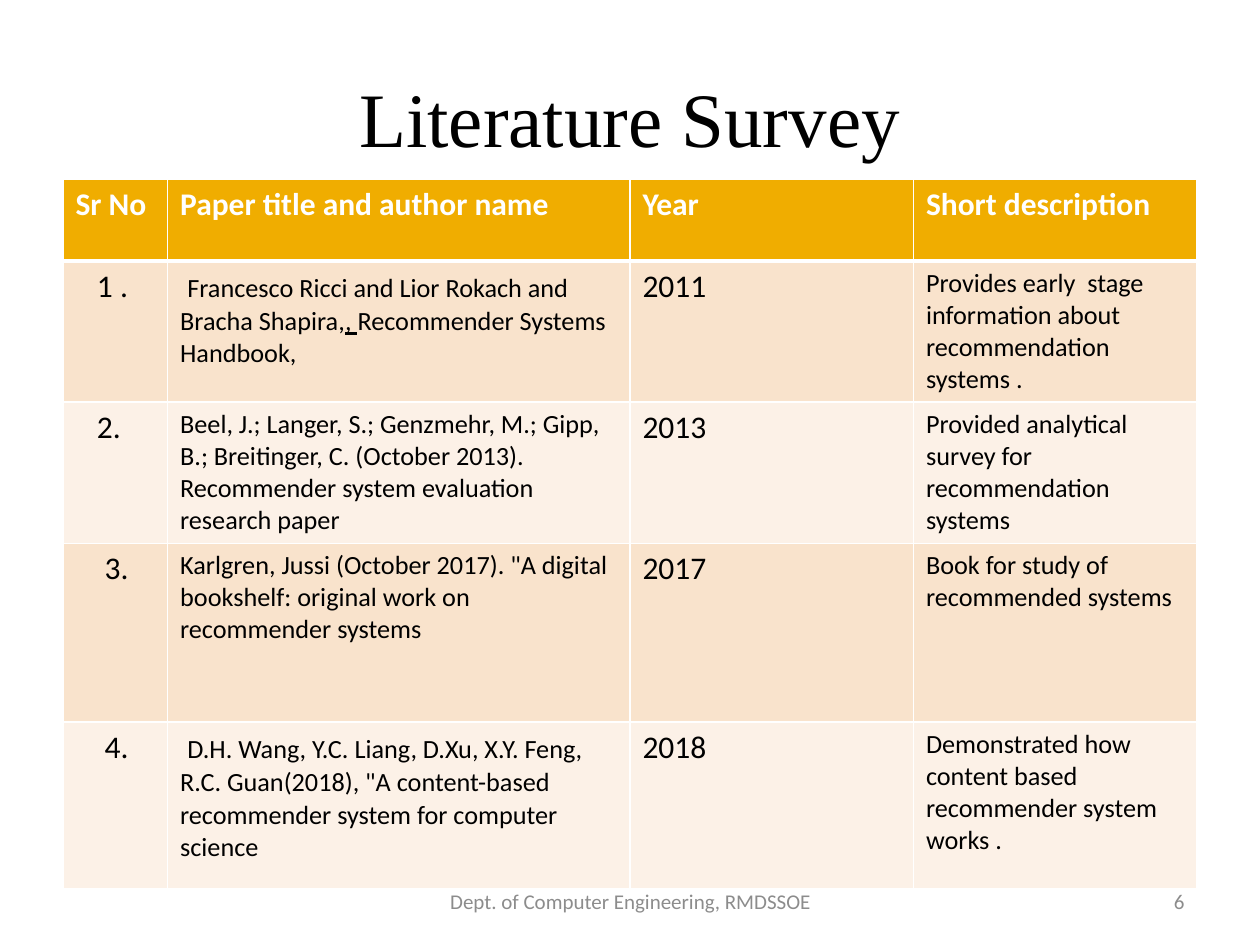
"""Build the literature survey slide with its table of papers."""
from dataclasses import dataclass

from lxml.etree import SubElement
from pptx import Presentation
from pptx.dml.color import RGBColor
from pptx.enum.text import MSO_ANCHOR as Anchor, PP_ALIGN as Align
from pptx.oxml.ns import qn
from pptx.util import Inches, Pt

BLACK, WHITE, GREY = "000000", "FFFFFF", "8C8C8C"
HEADER_FILL, BAND_FILLS = "F0AD00", ("F9E3CC", "FCF1E7")
HEADINGS = ("Sr No", "Paper title and author name", "Year", "Short description")
COLUMN_WIDTHS = (0.83, 3.67, 2.25, 2.25)
HEADER_HEIGHT = 0.65


@dataclass
class Span:
    text: str
    size: float = 15
    underline: bool = False


@dataclass
class Paper:
    number: str
    number_margin: float
    citation: list[Span]
    year: str
    description: str
    height: float


PAPERS = (
    Paper("1 .", 0.27,
          [Span(" ", 18), Span("Francesco Ricci and Lior Rokach and Bracha Shapira,"),
           Span(", ", underline=True), Span("Recommender Systems Handbook,")],
          "2011", "Provides early  stage information about recommendation systems .", 1.12),
    Paper("2.", 0.27,
          [Span("Beel, J.; Langer, S.; Genzmehr, M.; Gipp, B.; Breitinger, C. "
                "(October 2013). Recommender system evaluation research paper")],
          "2013", "Provided analytical survey for recommendation systems", 1.12),
    Paper("3.", 0.33,
          [Span("Karlgren, Jussi (October 2017). \"A digital bookshelf: "
                "original work on recommender systems")],
          "2017", "Book for study of recommended systems", 1.42),
    Paper("4.", 0.33,
          [Span(" ", 18), Span("D.H. Wang, Y.C. Liang, D.Xu, X.Y. Feng, R.C. Guan(2018), "
                               "\"A content-based recommender system for computer science")],
          "2018", "Demonstrated how content based recommender system works .", 1.32),
)


def rgb(color: str) -> RGBColor:
    """Turn a hex string into a colour."""
    return RGBColor.from_string(color)


def style(span, size: float, color: str, name: str = "Calibri", bold: bool = False) -> None:
    """Format one run of text."""
    span.font.size = Pt(size)
    span.font.name = name
    span.font.bold = bold
    span.font.color.rgb = rgb(color)


def add_borders(cell, bottom: float) -> None:
    """Give a cell white borders, with its own bottom width in points."""
    properties = cell._tc.get_or_add_tcPr()
    for tag, width in (("a:lnL", 1), ("a:lnR", 1), ("a:lnT", 1), ("a:lnB", bottom)):
        line = SubElement(properties, qn(tag), w=str(Pt(width)))
        SubElement(SubElement(line, qn("a:solidFill")), qn("a:srgbClr"), val=WHITE)


def fill_cell(cell, spans: list[Span], fill: str, header: bool = False) -> None:
    """Write spans into a cell and set its borders and fill."""
    add_borders(cell, 3 if header else 1)
    cell.fill.solid()
    cell.fill.fore_color.rgb = rgb(fill)
    para = cell.text_frame.paragraphs[0]
    for span in spans:
        run = para.add_run()
        run.text = span.text
        style(run, span.size, WHITE if header else BLACK, bold=header)
        if span.underline:
            run.font.underline = True


def add_table(page) -> None:
    """Draw the table of surveyed papers."""
    heights = (HEADER_HEIGHT, *(paper.height for paper in PAPERS))
    table = page.shapes.add_table(
        len(heights), len(HEADINGS), Inches(0.5), Inches(1.42),
        Inches(sum(COLUMN_WIDTHS)), Inches(sum(heights))).table
    for column, width in zip(table.columns, COLUMN_WIDTHS):
        column.width = Inches(width)
    for row, height in zip(table.rows, heights):
        row.height = Inches(height)
    for index, heading in enumerate(HEADINGS):
        fill_cell(table.cell(0, index), [Span(heading, 18)], HEADER_FILL, header=True)
    for row, paper in enumerate(PAPERS, start=1):
        contents = ([Span(paper.number, 18)], paper.citation,
                    [Span(paper.year, 18)], [Span(paper.description)])
        for index, spans in enumerate(contents):
            fill_cell(table.cell(row, index), spans, BAND_FILLS[(row - 1) % 2])
        table.cell(row, 0).margin_left = Inches(paper.number_margin)


def add_footer(page, text: str, left: float, width: float, align: Align) -> None:
    """Place one grey text at the foot of the page."""
    box = page.shapes.add_textbox(Inches(left), Inches(6.95), Inches(width), Inches(0.4))
    frame = box.text_frame
    frame.word_wrap = True
    frame.vertical_anchor = Anchor.MIDDLE
    frame.text = text
    para = frame.paragraphs[0]
    para.alignment = align
    style(para.runs[0], 12, GREY)


def add_title(page, text: str) -> None:
    """Fill and place the title placeholder."""
    title = page.shapes.title
    title.left, title.top, title.width, title.height = map(Inches, (0.5, 0.3, 9, 1.25))
    frame = title.text_frame
    frame.text = text
    frame.vertical_anchor = Anchor.MIDDLE
    para = frame.paragraphs[0]
    para.alignment = Align.CENTER
    style(para.runs[0], 44, BLACK, "Times New Roman")


def main() -> None:
    """Build and save the deck."""
    deck = Presentation()
    deck.slide_width, deck.slide_height = Inches(10), Inches(7.5)
    page = deck.slides.add_slide(deck.slide_layouts.get_by_name("Title Only"))
    add_title(page, "Literature Survey")
    add_table(page)
    add_footer(page, "Dept. of Computer Engineering, RMDSSOE", 3.42, 3.17, Align.CENTER)
    add_footer(page, "6", 7.17, 2.33, Align.RIGHT)
    deck.save("out.pptx")


if __name__ == "__main__":
    main()
